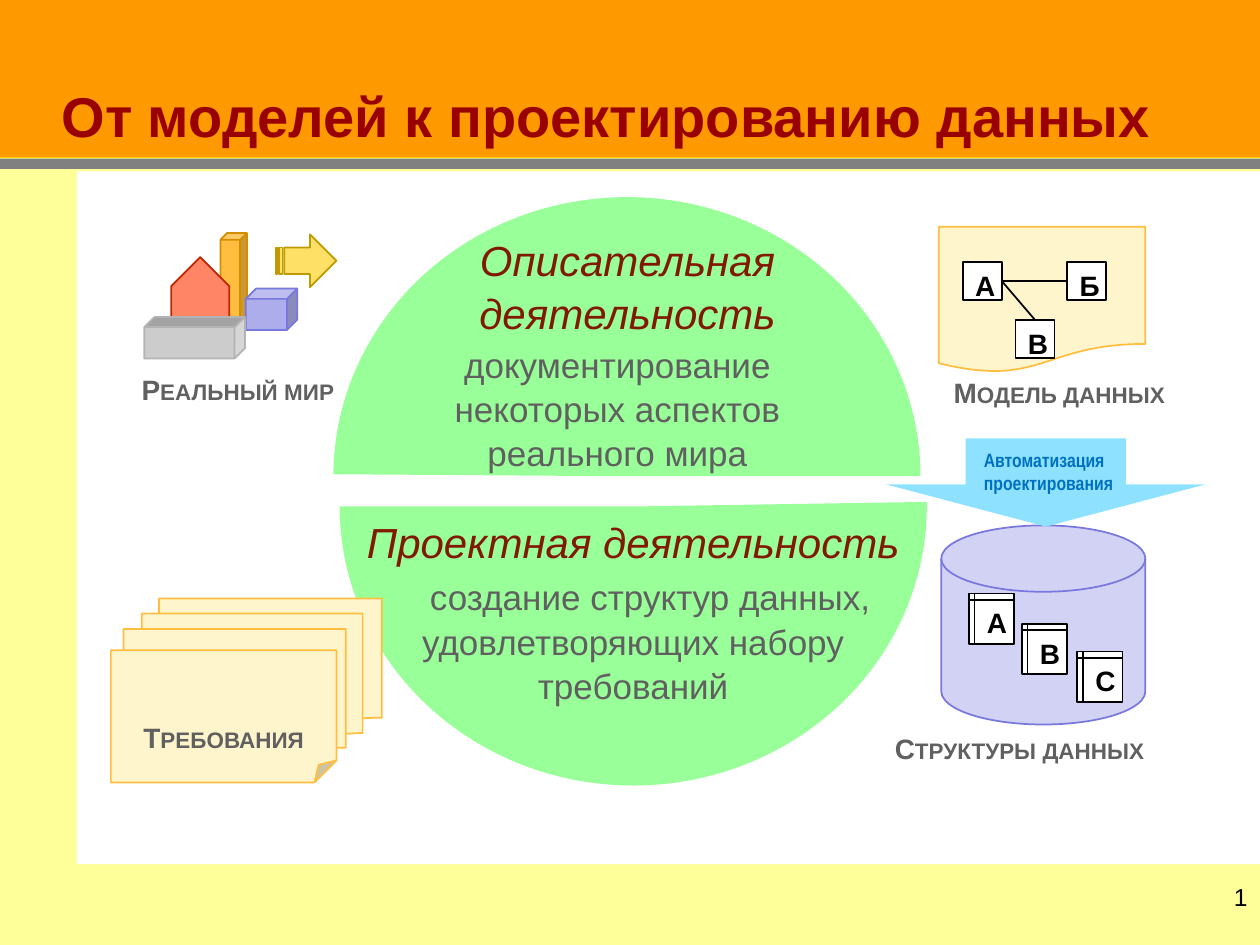
import pptx
import pptx.util
import pptx.dml.color
import pptx.enum.shapes
import pptx.enum.text
import pptx.oxml.ns
import lxml.etree
from dataclasses import dataclass

Inches = pptx.util.Inches
MSO = pptx.enum.shapes.MSO_SHAPE
qn = pptx.oxml.ns.qn


@dataclass(frozen=True)
class Theme:
    font: str = "Arial"
    narrow: str = "Arial Narrow"
    orange: str = "FF9900"
    yellow: str = "FFFF99"
    gray: str = "808080"
    gold: str = "FFCC00"
    white: str = "FFFFFF"
    black: str = "000000"
    green: str = "99FF99"
    maroon: str = "990000"
    brown: str = "801900"
    text: str = "606060"
    blue: str = "0070C0"
    sky: str = "8FE2FF"
    paper: str = "FFF5CC"
    amber: str = "FFBE40"
    violet: str = "7878DE"
    lilac: str = "D2D2F4"
    title: int = 32
    head: int = 24
    body: int = 20
    label: int = 16
    number: int = 14
    small: int = 11


T = Theme()

BANDS = [
    ((0, 0, 10, 1.25), T.orange),
    ((0, 1.25, 10, 6.25), T.yellow),
    ((0, 1.26, 10, 0.08), T.gray),
    ((0.61, 1.36, 9.39, 5.5), T.white),
]
HALVES = [
    ((2.76, 1.45, 4.43, 4.66), (54.23, 162)),
    ((2.81, 1.69, 4.43, 4.66), (161.47, 54.01)),
]
HEAD = dict(size=T.head, color=T.brown, italic=True, align="CENTER", spacing=1.05)
BODY = dict(size=T.body, color=T.text, align="CENTER", spacing=1.05)
LABEL = dict(size=T.label, color=T.text, bold=True, small_caps=True)
LETTER = dict(size=T.label, color=T.black, bold=True)

TEXTS = [
    ((0, 0.06, 10, 1.17), "BOTTOM", [("От моделей к проектированию данных", dict(
        size=T.title, color=T.maroon, bold=True, margin=0.39))]),
    ((9.06, 6.95, 0.94, 0.52), "TOP", [("1", dict(size=T.number, color=T.black, align="RIGHT"))]),
    ((3.5, 1.79, 2.96, 0.91), "TOP", [("Описательная деятельность", HEAD)]),
    ((2.67, 4.03, 4.71, 1.58), "TOP", [
        ("Проектная деятельность", HEAD),
        ("создание структур данных, удовлетворяющих набору требований",
         dict(BODY, indent=0.27, before=4))]),
    ((2.94, 2.66, 3.92, 1.11), "TOP", [
        ("документирование некоторых аспектов реального мира", BODY)]),
    ((0.81, 2.91, 1.94, 0.37), "TOP", [("Реальный мир", dict(LABEL, align="RIGHT"))]),
    ((7.71, 3.51, 1.25, 0.47), "TOP", [("Автоматизация проектирования", dict(
        size=T.small, color=T.blue, bold=True, font=T.narrow))]),
    ((6.85, 5.76, 2.33, 0.37), "TOP", [("Структуры данных", dict(LABEL, align="RIGHT"))]),
    ((7.47, 2.93, 1.92, 0.37), "TOP", [("Модель данных", LABEL)]),
]
FIGURES = [
    (MSO.FLOWCHART_DOCUMENT, (7.45, 1.8, 1.64, 1.16), T.paper, T.amber, {}),
    (MSO.CUBE, (1.75, 1.85, 0.21, 0.8), T.amber, "D48C00", {}),
    (MSO.CUBE, (1.95, 2.29, 0.41, 0.33), "ADADEB", T.violet, {}),
    (MSO.PENTAGON, (1.34, 2.06, 0.5, 0.46), "FF8566", "BF2600", dict(rotation=270)),
    (MSO.CUBE, (1.38, 2.28, 0.33, 0.8), "CCCCCC", "B3B3B3", dict(rotation=90, flip=True)),
    (MSO.STRIPED_RIGHT_ARROW, (2.19, 1.86, 0.48, 0.42), "FFE066", "BF9900", {}),
    (MSO.FLOWCHART_MAGNETIC_DISK, (7.47, 4.17, 1.62, 1.58), T.lilac, T.violet, {}),
    (MSO.FLOWCHART_MULTIDOCUMENT, (0.98, 4.75, 2.05, 1.42), T.paper, T.amber, {}),
    (MSO.DOWN_ARROW, (7.03, 3.48, 2.54, 0.7), T.sky, None, dict(adj=(0.5, 0.48))),
]
REQUIREMENTS = ("Требования", (0.88, 5.16, 1.79, 1.05))
ENTITIES = {"А": (7.64, 2.08), "Б": (8.47, 2.08), "В": (8.06, 2.54)}
RELATIONS = [("А", 3, "Б", 1), ("А", 3, "В", 0)]
TABLES = {"A": (7.69, 4.71), "B": (8.11, 4.95), "C": (8.55, 5.17)}


def rgb(value):
    return pptx.dml.color.RGBColor.from_string(value)


def add_figure(kind, box, fill, line=None, rotation=0, flip=False, adj=()):
    s = slide.shapes.add_shape(kind, *map(Inches, box))
    s.shadow.inherit = False
    s.fill.solid()
    s.fill.fore_color.rgb = rgb(fill)
    if line:
        s.line.color.rgb = rgb(line)
        s.line.width = pptx.util.Pt(1)
    else:
        s.line.fill.background()
    s.rotation = rotation
    if flip:
        s._element.spPr.find(qn("a:xfrm")).set("flipH", "1")
    for i, value in enumerate(adj):
        s.adjustments[i] = value
    return s


def add_line(color):
    c = slide.shapes.add_connector(
        pptx.enum.shapes.MSO_CONNECTOR.STRAIGHT, 0, Inches(1.25), Inches(10), Inches(1.25))
    c.line.color.rgb = rgb(color)
    c.line.width = pptx.util.Pt(1)
    lxml.etree.SubElement(c._element.spPr, qn("a:effectLst"))
    return c


def write(p, text, size, color, font=T.font, bold=False, italic=False, small_caps=False,
          align="LEFT", spacing=1.0, before=0, margin=0, indent=0):
    p.alignment = pptx.enum.text.PP_ALIGN[align]
    p.line_spacing = spacing
    p.space_before = pptx.util.Pt(before)
    pPr = p._p.get_or_add_pPr()
    pPr.set("marL", str(Inches(margin)))
    pPr.set("indent", str(Inches(indent)))
    r = p.add_run()
    r.text = text
    r.font.name, r.font.size = font, pptx.util.Pt(size)
    r.font.bold, r.font.italic = bold, italic
    r.font.color.rgb = rgb(color)
    if small_caps:
        r._r.get_or_add_rPr().set("cap", "small")


def fill_text(s, paragraphs, anchor="TOP"):
    tf = s.text_frame
    tf.word_wrap = True
    tf.vertical_anchor = pptx.enum.text.MSO_ANCHOR[anchor]
    for i, (text, style) in enumerate(paragraphs):
        write(tf.add_paragraph() if i else tf.paragraphs[0], text, **style)


def add_letters(kind, places, size):
    shapes = {}
    for letter, place in places.items():
        s = shapes[letter] = add_figure(kind, (*place, *size), T.white, T.black)
        fill_text(s, [(letter, LETTER)])
    return shapes


prs = pptx.Presentation()
prs.slide_width, prs.slide_height = Inches(10), Inches(7.5)
slide = prs.slides.add_slide(prs.slide_layouts[6])

for box, color in BANDS:
    add_figure(MSO.RECTANGLE, box, color)
add_line(T.gold)
for box, angles in HALVES:
    add_figure(MSO.PIE, box, T.green, rotation=90, adj=angles)
for kind, box, fill, line, options in FIGURES:
    add_figure(kind, box, fill, line, **options)

text, box = REQUIREMENTS
s = add_figure(MSO.FOLDED_CORNER, box, T.paper, T.amber)
fill_text(s, [(text, dict(LABEL, align="CENTER"))], "BOTTOM")

entities = add_letters(MSO.RECTANGLE, ENTITIES, (0.31, 0.3))
for start, start_side, end, end_side in RELATIONS:
    c = add_line(T.black)
    c.begin_connect(entities[start], start_side)
    c.end_connect(entities[end], end_side)
add_letters(MSO.FLOWCHART_INTERNAL_STORAGE, TABLES, (0.36, 0.4))

for box, anchor, paragraphs in TEXTS:
    fill_text(slide.shapes.add_textbox(*map(Inches, box)), paragraphs, anchor)

prs.save("out.pptx")
